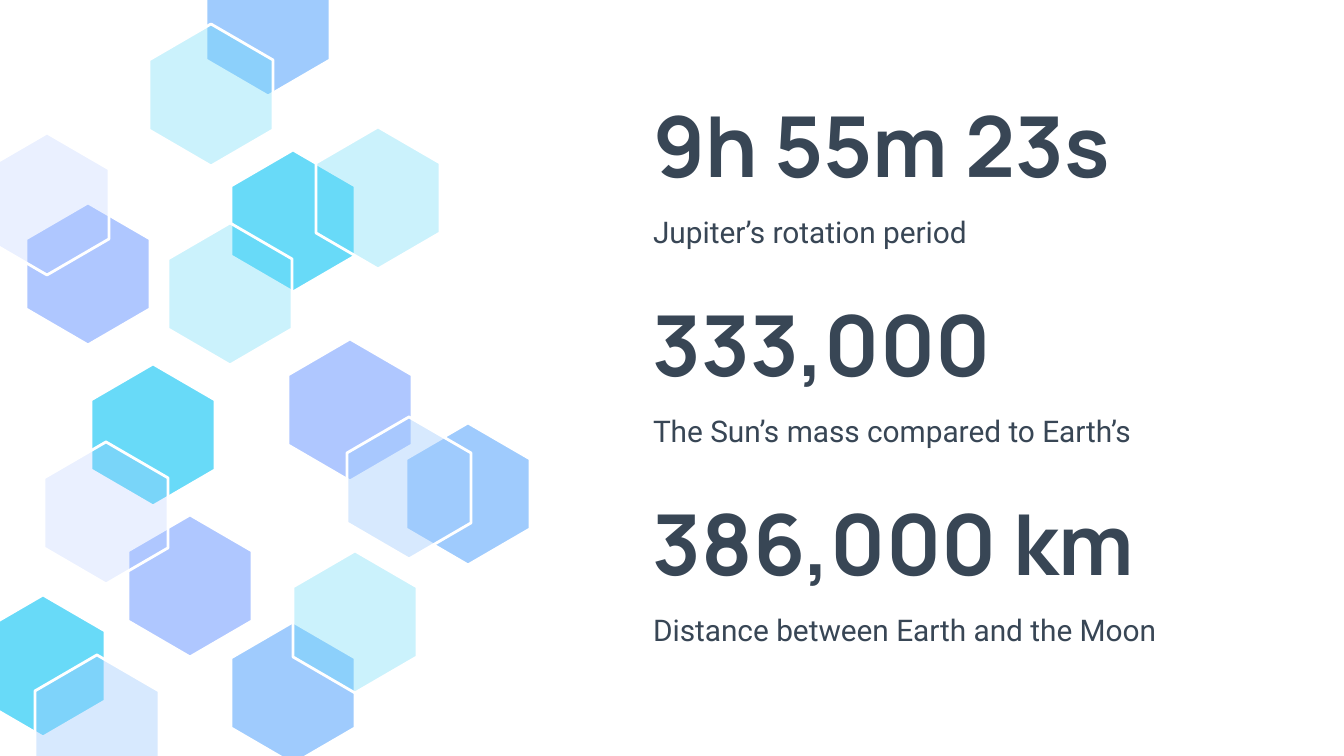
from lxml.etree import SubElement
from pptx import Presentation
from pptx.dml.color import RGBColor
from pptx.enum.text import MSO_ANCHOR, MSO_AUTO_SIZE, PP_ALIGN
from pptx.oxml.ns import qn
from pptx.util import Emu, Pt

# Content
FACTS = [
    ("9h 55m 23s", "Jupiter’s rotation period"),
    ("333,000", "The Sun’s mass compared to Earth’s"),
    ("386,000 km", "Distance between Earth and the Moon"),
]

# Fill colour and opacity in percent
BLUE, PERIWINKLE, CYAN = ("9FCBFD", 100), ("AFC7FF", 100), ("68DAF8", 100)
PALE_BLUE, PALE_PERIWINKLE, PALE_CYAN = ("9FCBFD", 41), ("AFC7FF", 25), ("68DAF8", 34)

# Hexagons from back to front: left, top, style
HEXAGONS = [
    (406, 423, BLUE),
    (231, 622, BLUE),
    (288, 339, PERIWINKLE),
    (26, 203, PERIWINKLE),
    (-15, 133, PALE_PERIWINKLE),
    (231, 150, CYAN),
    (347, 417, PALE_BLUE),
    (168, 223, PALE_CYAN),
    (91, 364, CYAN),
    (128, 515, PERIWINKLE),
    (206, -46, BLUE),
    (44, 442, PALE_PERIWINKLE),
    (149, 24, PALE_CYAN),
    (-19, 595, CYAN),
    (293, 551, PALE_CYAN),
    (316, 127, PALE_CYAN),
    (35, 655, PALE_BLUE),
]

# Layout in px
PX = 914400 / 134.4
SLIDE_SIZE = (1344, 756)
HEXAGON_WIDTH, HEXAGON_HEIGHT, SHOULDER = 124, 142, 36
TEXT_LEFT, TEXT_WIDTH, INSET = 640, 599, 13
NUMBER_TOP, NUMBER_HEIGHT = 94, 113
CAPTION_TOP, CAPTION_HEIGHT = 195, 62
FACT_PITCH = 199

INK = "384655"
NUMBER_FONT = {"name": "Manrope", "size": Pt(45), "bold": True}
CAPTION_FONT = {"name": "Roboto", "size": Pt(16), "bold": False}


def px(length):
    return Emu(round(length * PX))


def rgb(value):
    return RGBColor.from_string(value)


def set_all(target, values):
    for name, value in values.items():
        setattr(target, name, value)


def write_text(shape, text, top, height, font, anchor, line_spacing):
    set_all(shape, {"left": px(TEXT_LEFT), "top": px(top),
                    "width": px(TEXT_WIDTH), "height": px(height)})
    frame = shape.text_frame
    frame.text = text
    set_all(frame, {"word_wrap": True, "auto_size": MSO_AUTO_SIZE.NONE,
                    "vertical_anchor": anchor})
    set_all(frame, {f"margin_{side}": px(INSET)
                    for side in ("left", "top", "right", "bottom")})
    paragraph = frame.paragraphs[0]
    set_all(paragraph, {"alignment": PP_ALIGN.LEFT, "line_spacing": line_spacing,
                        "space_before": Pt(0), "space_after": Pt(0)})
    properties = paragraph._p.get_or_add_pPr()
    properties.set("marL", "0")
    properties.set("indent", "0")
    SubElement(properties, qn("a:buNone"))
    run = paragraph.runs[0]
    set_all(run.font, font)
    run.font.color.rgb = rgb(INK)


def add_hexagon(slide, left, top, style):
    middle, right = left + HEXAGON_WIDTH / 2, left + HEXAGON_WIDTH
    upper, bottom = top + SHOULDER, top + HEXAGON_HEIGHT
    lower = bottom - SHOULDER
    builder = slide.shapes.build_freeform(middle, top, scale=PX)
    builder.add_line_segments([(left, upper), (left, lower), (middle, bottom),
                               (right, lower), (right, upper)], close=True)
    shape = builder.convert_to_shape()
    shape.shadow.inherit = False
    color, opacity = style
    shape.fill.solid()
    shape.fill.fore_color.rgb = rgb(color)
    if opacity < 100:
        color_element = shape._element.spPr.find(qn("a:solidFill"))[0]
        SubElement(color_element, qn("a:alpha"), val=str(opacity * 1000))
    shape.line.color.rgb = rgb("FFFFFF")
    shape.line.width = Pt(1.5)


presentation = Presentation()
presentation.slide_width, presentation.slide_height = map(px, SLIDE_SIZE)
# The comparison layout offers a title and several body placeholders
slide = presentation.slides.add_slide(presentation.slide_layouts[4])
bodies = [shape for shape in slide.placeholders if shape.placeholder_format.idx in (1, 2, 3)]

# Facts: a large number above its caption
for index, ((number, caption), body) in enumerate(zip(FACTS, bodies)):
    offset = index * FACT_PITCH
    number_box = slide.shapes.title if index == 0 else slide.shapes.add_textbox(0, 0, 0, 0)
    write_text(number_box, number, NUMBER_TOP + offset, NUMBER_HEIGHT,
               NUMBER_FONT, MSO_ANCHOR.BOTTOM, 1.0)
    write_text(body, caption, CAPTION_TOP + offset, CAPTION_HEIGHT,
               CAPTION_FONT, MSO_ANCHOR.TOP, 1.15)

# Remove the placeholders that stay empty
for shape in list(slide.placeholders):
    if not shape.text_frame.text:
        shape._element.getparent().remove(shape._element)

# Hexagon pattern
for left, top, style in HEXAGONS:
    add_hexagon(slide, left, top, style)

presentation.save("out.pptx")
